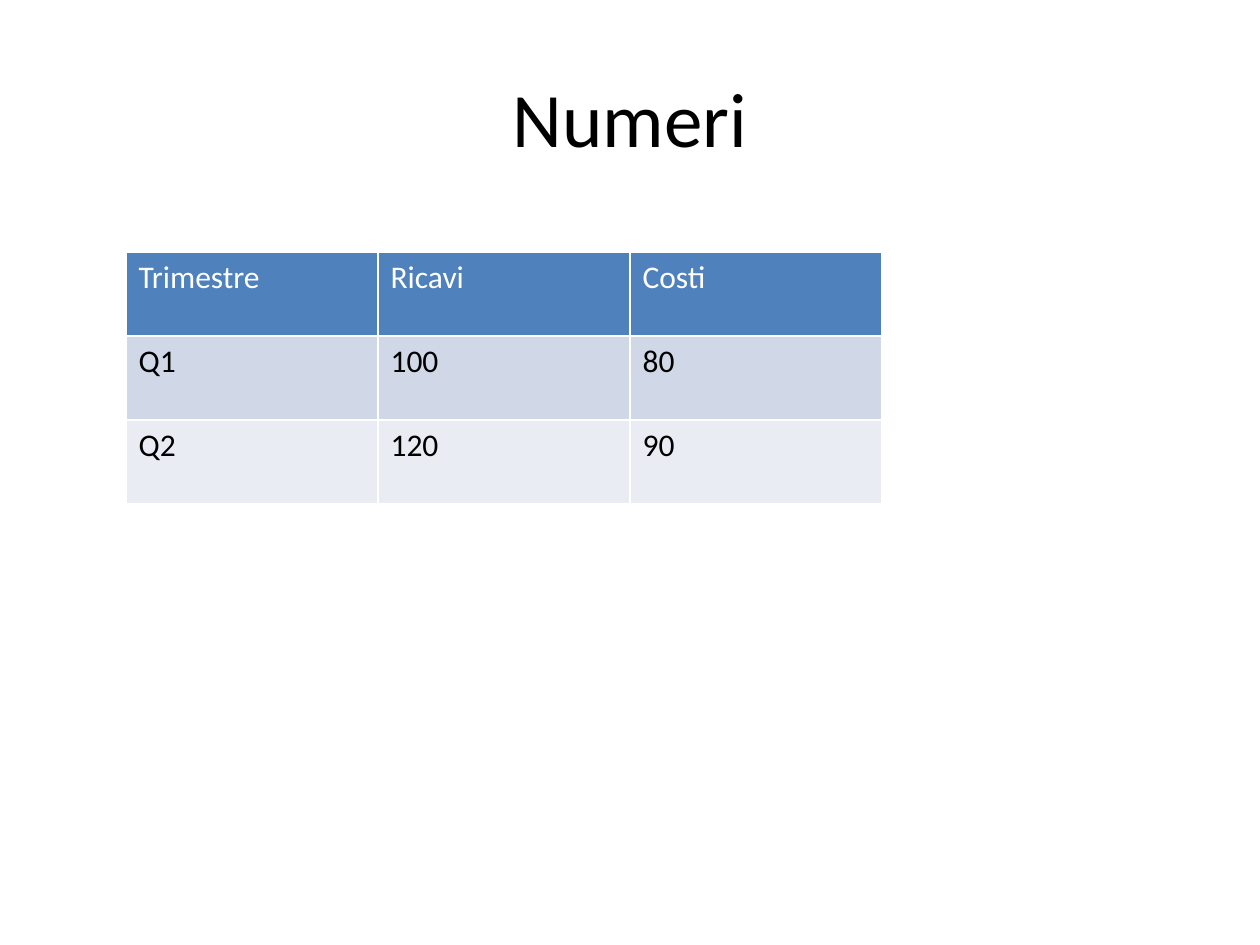
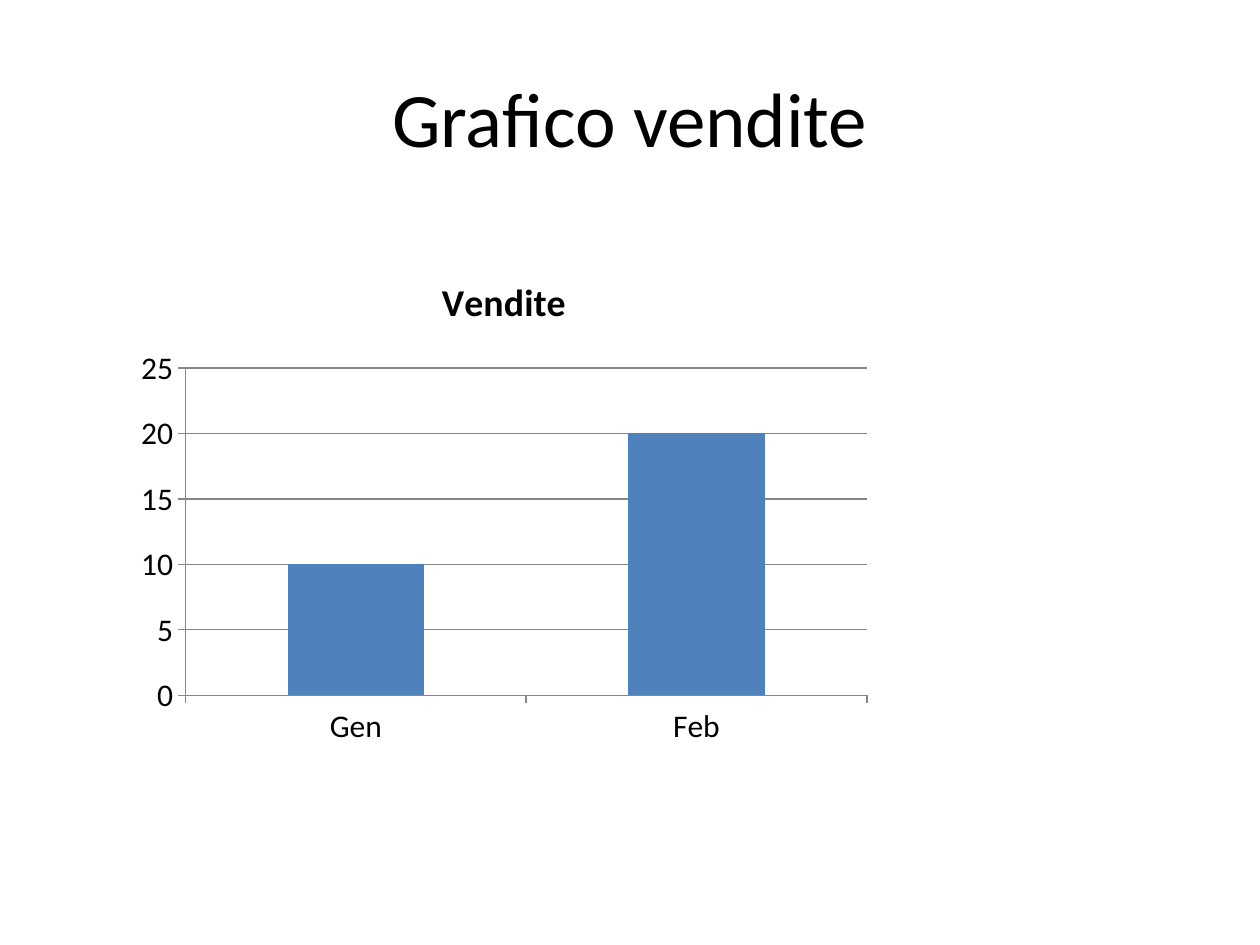
from dataclasses import dataclass

from pptx import Presentation
from pptx import util as u
from pptx.chart.data import CategoryChartData
from pptx.dml.color import RGBColor
from pptx.enum import chart as charts, text
from pptx.oxml import parse_xml
from pptx.oxml.ns import nsdecls

FONT = "Calibri"
BLACK, WHITE, BLUE, GREY = "000000", "FFFFFF", "4F81BD", "878787"
BAND_COLOURS = ("D0D8E7", "E9ECF3")


@dataclass(frozen=True)
class Area:
    left: float
    top: float
    width: float
    height: float

    def lengths(self) -> tuple:
        return tuple(u.Inches(n) for n in (self.left, self.top, self.width, self.height))


TITLE_AREA = Area(0.5, 0.3, 9, 1.25)
TABLE_AREA = Area(1, 2, 6, 2)
CHART_AREA = Area(1, 2, 6, 4)


def colour(value: str) -> RGBColor:
    return RGBColor.from_string(value)


def style_font(font, size: float, shade: str = BLACK, bold: bool = False) -> None:
    font.name = FONT
    font.size = u.Pt(size)
    font.bold = bold
    font.color.rgb = colour(shade)


def style_line(line) -> None:
    line.color.rgb = colour(GREY)
    line.width = u.Pt(0.75)


def add_page(deck, heading: str):
    """Add a title-only slide with the shared title style."""
    page = deck.slides.add_slide(deck.slide_layouts[5])
    title = page.shapes.title
    title.left, title.top, title.width, title.height = TITLE_AREA.lengths()
    frame = title.text_frame
    frame.text = heading
    frame.vertical_anchor = text.MSO_ANCHOR.MIDDLE
    para = frame.paragraphs[0]
    para.alignment = text.PP_ALIGN.CENTER
    style_font(para.runs[0].font, 44)
    return page


def add_borders(cell) -> None:
    """Put a thin white line on each side, ahead of the cell's fill."""
    properties = cell._tc.get_or_add_tcPr()
    for index, side in enumerate(("lnL", "lnR", "lnT", "lnB")):
        properties.insert(index, parse_xml(
            f'<a:{side} {nsdecls("a")} w="{u.Pt(0.96)}"><a:solidFill>'
            f'<a:srgbClr val="{WHITE}"/></a:solidFill></a:{side}>'))


def add_banded_table(page, area: Area, rows: list[list[str]]) -> None:
    table = page.shapes.add_table(len(rows), len(rows[0]), *area.lengths()).table
    for row_index, row in enumerate(rows):
        is_header = row_index == 0
        fill = BLUE if is_header else BAND_COLOURS[(row_index - 1) % 2]
        for column_index, value in enumerate(row):
            cell = table.cell(row_index, column_index)
            cell.text = value
            style_font(cell.text_frame.paragraphs[0].runs[0].font, 18,
                       WHITE if is_header else BLACK)
            cell.fill.solid()
            cell.fill.fore_color.rgb = colour(fill)
            add_borders(cell)


def add_column_chart(page, area: Area, name: str, values: dict[str, int]) -> None:
    data = CategoryChartData()
    data.categories = list(values)
    data.add_series(name, list(values.values()))
    chart = page.shapes.add_chart(
        charts.XL_CHART_TYPE.COLUMN_CLUSTERED, *area.lengths(), data).chart
    style_font(chart.font, 18)
    chart.has_legend = False

    # Chart title
    chart.has_title = True
    frame = chart.chart_title.text_frame
    frame.text = name
    style_font(frame.paragraphs[0].runs[0].font, 21.6, bold=True)
    chart.chart_title.include_in_layout = False

    # Columns
    plot = chart.plots[0]
    plot.gap_width = 150
    plot.vary_by_categories = False
    series = plot.series[0]
    series.format.fill.solid()
    series.format.fill.fore_color.rgb = colour(BLUE)

    # Axes
    for axis in (chart.category_axis, chart.value_axis):
        axis.major_tick_mark = charts.XL_TICK_MARK.OUTSIDE
        axis.minor_tick_mark = charts.XL_TICK_MARK.NONE
        style_font(axis.tick_labels.font, 18)
        style_line(axis.format.line)
    chart.value_axis.has_major_gridlines = True
    style_line(chart.value_axis.major_gridlines.format.line)


def main() -> None:
    deck = Presentation()
    deck.slide_width, deck.slide_height = u.Inches(10), u.Inches(7.5)

    # Quarterly figures
    page = add_page(deck, "Numeri")
    add_banded_table(page, TABLE_AREA, [
        ["Trimestre", "Ricavi", "Costi"],
        ["Q1", "100", "80"],
        ["Q2", "120", "90"],
    ])

    # Monthly sales
    page = add_page(deck, "Grafico vendite")
    add_column_chart(page, CHART_AREA, "Vendite", {"Gen": 10, "Feb": 20})

    deck.save("out.pptx")


if __name__ == "__main__":
    main()
